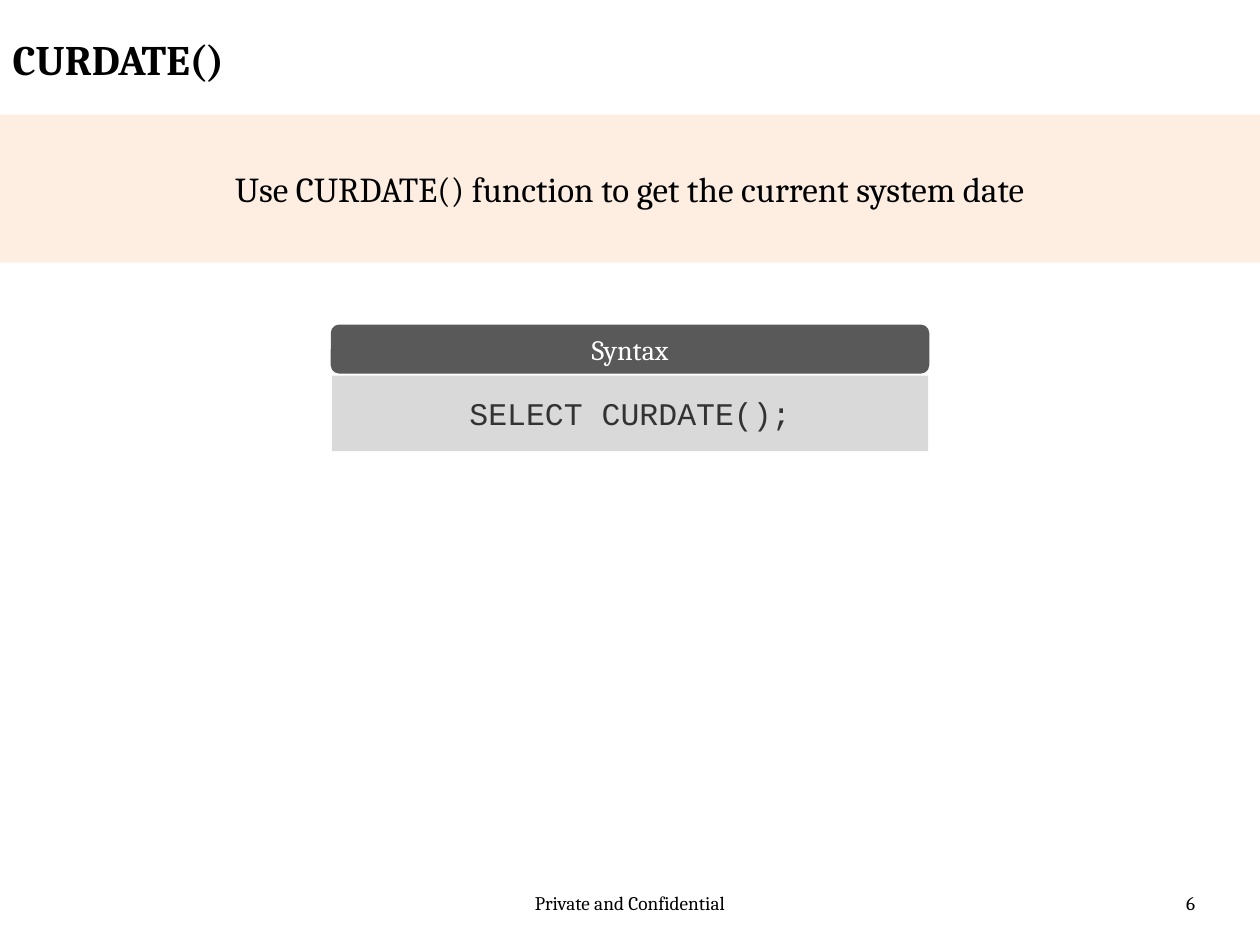
import pptx
import pptx.util
import pptx.dml.color
import pptx.enum.shapes
import pptx.enum.text
from lxml import etree

Pt = pptx.util.Pt
RGB = pptx.dml.color.RGBColor
KIND = pptx.enum.shapes.MSO_SHAPE
ALIGN = pptx.enum.text.PP_ALIGN
ANCHOR = pptx.enum.text.MSO_ANCHOR

BLACK = RGB(0x00, 0x00, 0x00)
WHITE = RGB(0xFF, 0xFF, 0xFF)
PEACH = RGB(0xFD, 0xEA, 0xDA)
DARK = RGB(0x59, 0x59, 0x59)
PALE = RGB(0xD9, 0xD9, 0xD9)
INK = RGB(0x33, 0x33, 0x33)

# Content: text, place in points, format
WIDE, HIGH = 720, 540
TITLE = ("CURDATE()", (0, 15.8, 546.5, 44.6))
FOOT = [
    ("Private and Confidential", (246, 505.5, 228, 28.8), ALIGN.CENTER),
    ("6", (522, 505.5, 168, 28.8), ALIGN.RIGHT),
]
# Panels: text, top, width, height, kind, fill, corner, format
PANELS = [
    ("Use CURDATE() function to get the current system date",
     65.5, WIDE, 84.6, KIND.RECTANGLE, PEACH, None, dict(size=20)),
    ("Syntax", 185.5, 342, 28, KIND.ROUNDED_RECTANGLE, DARK, 0.17,
     dict(size=16, color=WHITE)),
    ("SELECT CURDATE();", 214.6, 340.8, 43.2, KIND.ROUNDED_RECTANGLE, PALE, 0,
     dict(size=18, color=INK, font="Courier New")),
]


def write(shape, text, size=11, color=BLACK, font="Cambria", bold=False,
          align=ALIGN.CENTER, anchor=ANCHOR.MIDDLE):
    frame = shape.text_frame
    frame.word_wrap = True
    frame.auto_size = pptx.enum.text.MSO_AUTO_SIZE.NONE
    frame.vertical_anchor = anchor
    frame.margin_left = frame.margin_right = Pt(7.2)
    frame.margin_top = frame.margin_bottom = Pt(3.6)
    para = frame.paragraphs[0]
    para.alignment = align
    para.space_before = Pt(0)
    run = para.add_run()
    run.text = text
    run.font.size = Pt(size)
    run.font.name = font
    run.font.bold = bold
    run.font.color.rgb = color


deck = pptx.Presentation()
deck.slide_width, deck.slide_height = Pt(WIDE), Pt(HIGH)
slide = deck.slides.add_slide(deck.slide_layouts[5])
shapes = slide.shapes

# Title
text, place = TITLE
head = shapes.title
head.left, head.top, head.width, head.height = map(Pt, place)
write(head, text, size=24, bold=True, align=ALIGN.LEFT, anchor=ANCHOR.TOP)

# Footer and page number
for text, place, align in FOOT:
    box = shapes.add_textbox(*map(Pt, place))
    write(box, text, align=align, anchor=ANCHOR.TOP)

# Centred panels: message band, syntax header, code
for text, top, width, height, kind, fill, corner, style in PANELS:
    left = (WIDE - width) / 2
    panel = shapes.add_shape(kind, Pt(left), Pt(top), Pt(width), Pt(height))
    panel.shadow.inherit = False
    panel.fill.solid()
    panel.fill.fore_color.rgb = fill
    panel.line.fill.background()
    if corner is not None:
        panel.adjustments[0] = corner
    if fill == PEACH:
        tint = panel.fill._xPr.find(".//" + pptx.oxml.ns.qn("a:srgbClr"))
        etree.SubElement(tint, pptx.oxml.ns.qn("a:alpha"), val="79000")
    write(panel, text, **style)

deck.save("out.pptx")
